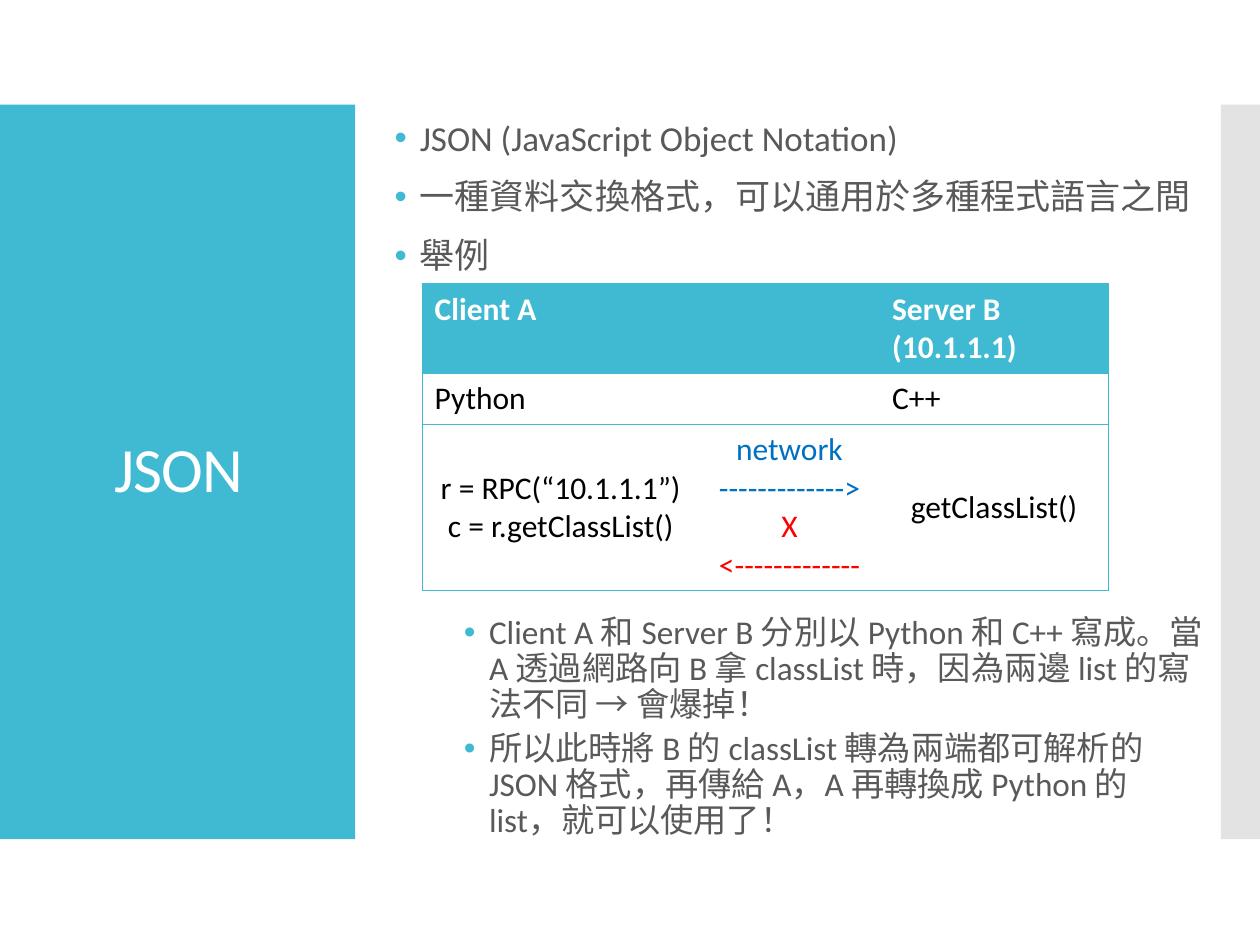
"""Build the JSON slide: a title panel, a bullet list and a client/server table."""
from dataclasses import dataclass

from lxml import etree
from pptx import Presentation
from pptx import util as u
from pptx.dml.color import RGBColor
from pptx.enum import shapes, text
from pptx.oxml.ns import qn

TEAL = RGBColor(0x40, 0xBA, 0xD2)
SILVER = RGBColor(0xC8, 0xC8, 0xC8)
GREY = RGBColor(0x59, 0x59, 0x59)
BLUE = RGBColor(0x00, 0x70, 0xC0)
RED = RGBColor(0xFF, 0x00, 0x00)
BLACK = RGBColor(0x00, 0x00, 0x00)
WHITE = RGBColor(0xFF, 0xFF, 0xFF)
FONT = "Calibri"


@dataclass
class Box:
    left: float
    top: float
    width: float
    height: float

    def lengths(self) -> list:
        return [u.Cm(v) for v in (self.left, self.top, self.width, self.height)]


@dataclass
class Bullet:
    words: str
    level: int = 0
    size: float = 20
    before: float = 12
    after: float = 0


@dataclass
class Cell:
    lines: tuple = ()
    colors: tuple = (BLACK,)
    bold: bool = False
    centred: bool = False
    fill: RGBColor = WHITE


PANEL = Box(0, 2.11, 7.16, 14.81)
STRIP = Box(24.61, 2.11, 0.79, 14.81)
TITLE = Box(0.53, 3.12, 6.15, 12.78)
BODY = Box(7.7, 2.31, 16.81, 14.9)
TABLE = Box(8.51, 5.72, 13.84, 5.87)
COLUMNS = (5.59, 3.63, 4.62)
ROWS = (1.7, 0.99, 3.18)
MARGINS = (0.2, 0.75)

BULLETS = (
    Bullet("JSON (JavaScript Object Notation)", before=0),
    Bullet("一種資料交換格式，可以通用於多種程式語言之間"),
    Bullet("舉例"),
    Bullet("Client A 和 Server B 分別以 Python 和 C++ 寫成。當 A 透過網路向 B 拿 classList 時，"
           "因為兩邊 list 的寫法不同 → 會爆掉！", 1, 19, 194, 2.5),
    Bullet("所以此時將 B 的 classList 轉為兩端都可解析的 JSON 格式，再傳給 A，A 再轉換成 "
           "Python 的 list，就可以使用了！", 1, 19, 2.5, 2.5),
)


def header(*lines: str) -> Cell:
    return Cell(lines, (WHITE,), bold=True, fill=TEAL)


CELLS = (
    (header("Client A"), header(), header("Server B (10.1.1.1)")),
    (Cell(("Python",)), Cell(), Cell(("C++",))),
    (Cell(("r = RPC(“10.1.1.1”)", "c = r.getClassList()"), (BLACK, BLACK), centred=True),
     Cell(("network", "------------->", "X", "<-------------"), (BLUE, BLUE, RED, RED),
          centred=True),
     Cell(("getClassList()",), centred=True)),
)


def place(sp, box: Box) -> None:
    sp.left, sp.top, sp.width, sp.height = box.lengths()


def style(p, size: float, color: RGBColor, bold: bool = False) -> None:
    for r in p.runs:
        r.font.name, r.font.size, r.font.bold = FONT, u.Pt(size), bold
        r.font.color.rgb = color


def add_panel(s, box: Box, color: RGBColor, alpha: int = 100) -> None:
    sp = s.shapes.add_shape(shapes.MSO_SHAPE.RECTANGLE, *box.lengths())
    sp.shadow.inherit = False
    sp.fill.solid()
    sp.fill.fore_color.rgb = color
    sp.line.fill.background()
    if alpha < 100:
        clr = sp._element.spPr.find(".//" + qn("a:srgbClr"))
        etree.SubElement(clr, qn("a:alpha"), val=str(alpha * 1000))
    s.shapes._spTree.insert(2, sp._element)


def fill_title(sp, words: str) -> None:
    place(sp, TITLE)
    tf = sp.text_frame
    tf.text = words
    tf.auto_size = text.MSO_AUTO_SIZE.NONE
    tf.vertical_anchor = text.MSO_ANCHOR.MIDDLE
    p = tf.paragraphs[0]
    p.alignment, p.line_spacing = text.PP_ALIGN.CENTER, 0.9
    style(p, 36, WHITE)
    p.runs[0]._r.get_or_add_rPr().set("spc", "-60")


def add_bullet_mark(p, margin: float) -> None:
    pPr = p._p.get_or_add_pPr()
    pPr.set("marL", str(u.Inches(margin)))
    pPr.set("indent", str(-u.Inches(0.2)))
    clr = etree.SubElement(pPr, qn("a:buClr"))
    etree.SubElement(clr, qn("a:srgbClr"), val=str(TEAL))
    etree.SubElement(pPr, qn("a:buFont"), typeface="Arial")
    etree.SubElement(pPr, qn("a:buChar"), char="•")


def fill_body(sp, bullets: tuple) -> None:
    place(sp, BODY)
    tf = sp.text_frame
    tf.auto_size = text.MSO_AUTO_SIZE.NONE
    tf.vertical_anchor = text.MSO_ANCHOR.TOP
    tf.text = "\n".join(b.words for b in bullets)
    for p, b in zip(tf.paragraphs, bullets):
        p.level, p.line_spacing = b.level, 0.9
        p.space_before, p.space_after = u.Pt(b.before), u.Pt(b.after)
        add_bullet_mark(p, MARGINS[b.level])
        style(p, b.size, GREY)


def set_borders(cell, sides: dict) -> None:
    tcPr = cell._tc.get_or_add_tcPr()
    for i, (side, shown) in enumerate(sides.items()):
        ln = etree.Element(qn("a:ln" + side), w=str(u.Pt(0.75)))
        if shown:
            fill = etree.SubElement(ln, qn("a:solidFill"))
            etree.SubElement(fill, qn("a:srgbClr"), val=str(TEAL))
        else:
            etree.SubElement(ln, qn("a:noFill"))
        tcPr.insert(i, ln)


def fill_cell(cell, data: Cell) -> None:
    cell.fill.solid()
    cell.fill.fore_color.rgb = data.fill
    tf = cell.text_frame
    tf.text = "\n".join(data.lines)
    if data.centred:
        cell.vertical_anchor = text.MSO_ANCHOR.MIDDLE
    for p, color in zip(tf.paragraphs, data.colors):
        if data.centred:
            p.alignment = text.PP_ALIGN.CENTER
        style(p, 18, color, data.bold)


def add_grid(s, cells: tuple) -> None:
    table = s.shapes.add_table(len(ROWS), len(COLUMNS), *TABLE.lengths()).table
    for column, width in zip(table.columns, COLUMNS):
        column.width = u.Cm(width)
    for i, height in enumerate(ROWS):
        table.rows[i].height = u.Cm(height)
        for j, data in enumerate(cells[i]):
            cell = table.cell(i, j)
            fill_cell(cell, data)
            set_borders(cell, {"L": j == 0, "R": j == len(COLUMNS) - 1, "T": True, "B": True})


def main() -> None:
    prs = Presentation()
    prs.slide_width, prs.slide_height = u.Cm(25.4), u.Cm(19.05)
    s = prs.slides.add_slide(prs.slide_layouts[1])
    add_panel(s, STRIP, SILVER, alpha=50)
    add_panel(s, PANEL, TEAL)
    fill_title(s.shapes.title, "JSON")
    fill_body(s.placeholders[1], BULLETS)
    add_grid(s, CELLS)
    prs.save("out.pptx")


if __name__ == "__main__":
    main()
